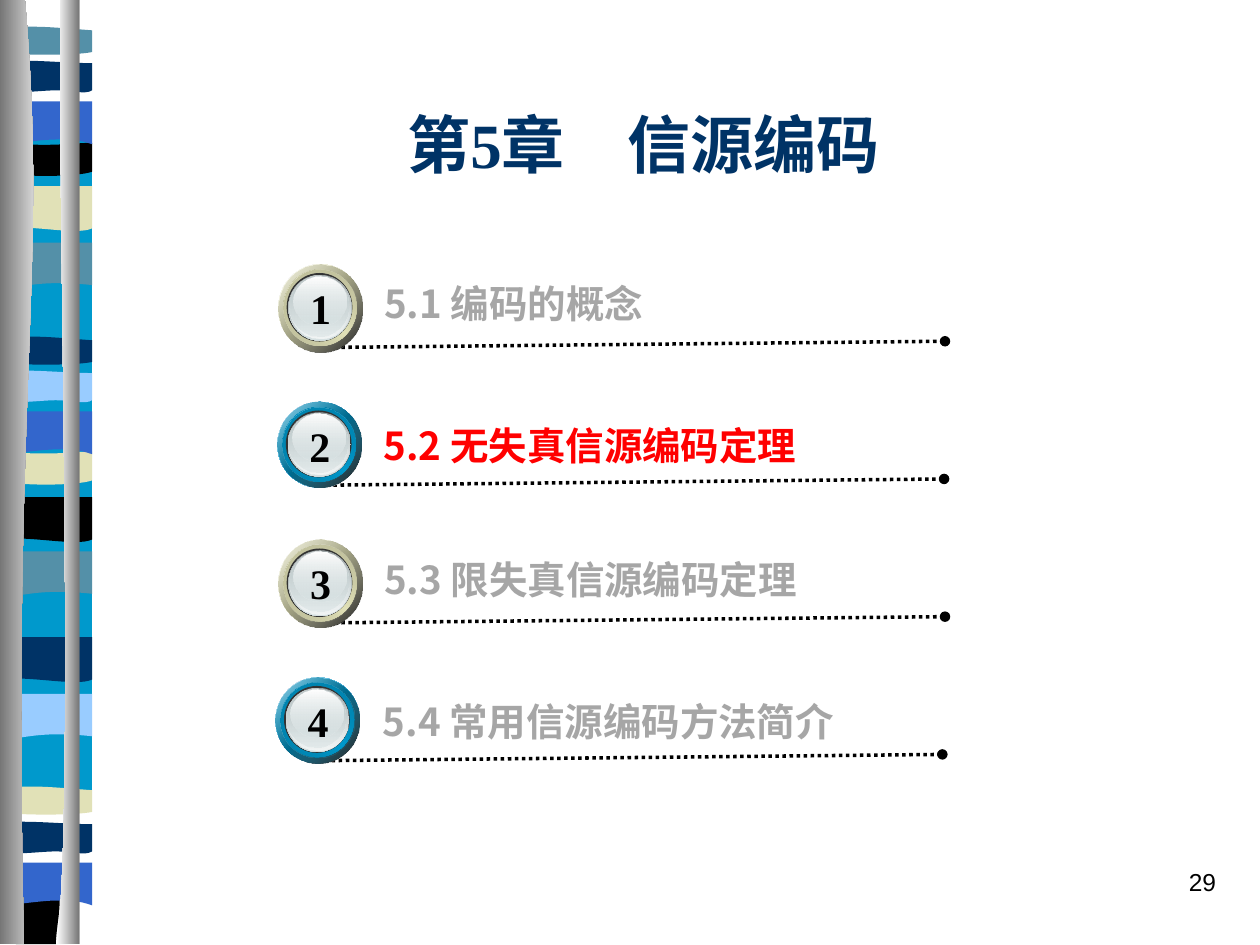
from lxml.etree import SubElement
from pptx import Presentation
from pptx.dml.color import RGBColor
from pptx.enum.dml import MSO_LINE_DASH_STYLE as Dash
from pptx.enum.shapes import MSO_CONNECTOR_TYPE as Connector, MSO_SHAPE as Preset
from pptx.enum.text import MSO_ANCHOR as Anchor, MSO_AUTO_SIZE as AutoSize, PP_ALIGN as Align
from pptx.oxml import parse_xml
from pptx.oxml.ns import nsdecls, qn
from pptx.util import Pt

CJK_FONT = "Noto Sans CJK SC"
SERIF_FONT = "Times New Roman"
NAVY, BLUE, TEAL, SKY, CREAM, CYAN, BLACK = (
    "003366", "3366CC", "5490A8", "99CCFF", "E1E1B7", "0099CC", "000000")

WAVE_DOWN = [(1, 0), (1, .85), ((.31, .71), (.17, 1), (0, .85)), (0, 0)]
WAVE_UP = [(1, 0), (1, .85), ((.83, 1), (.31, .76), (0, .85)), (0, 0)]
LENS = [(1, .15), (1, .88), ((.83, 1), (.17, 1), (0, .88)), (0, .15),
        ((.07, 0), (.22, .03), (.39, .03)), ((.54, .03), (.86, .12), (1, .15))]
BOWL = [(1, 0), (1, .84), ((.83, 1), (.17, 1), (0, .84)), (0, 0),
        ((.61, .13), (.78, 0), (1, 0))]
ARCH = [(1, 0), (1, 1), ((.85, .89), (.78, .89), (.61, .89)),
        ((.44, .89), (.15, 1), (0, 1)), (0, 0)]
RIPPLE = [(1, .15), (1, .88), ((.93, 1), (.78, .88), (.61, .88)),
          ((.44, .88), (.1, 1), (0, .88)), (0, .15), ((.14, 0), (.68, .15), (1, .15))]
BLOCK = [(1, 0), (1, 1), (0, 1), (0, 0)]
STUB = [(.95, 0), ((1, .3), (.9, .6), (.88, 1)), (0, 1), (0, 0)]
LEFT_POLE = [(.51, 0), ((1, .29), (.23, .4), (.49, 1)), (0, 1), (0, 0)]
RIGHT_POLE = [(.17, 0), ((0, .17), (.83, .86), (0, 1)), (1, 1), (1, 0)]

BANDS = [
    (BLOCK, 75, 387, CYAN),
    (WAVE_DOWN, 138.7, 28.5, TEAL), (WAVE_UP, 106.3, 28.5, CREAM),
    (LENS, 14.8, 17, TEAL), (BOWL, 81.6, 19.7, BLACK),
    (ARCH, 58, 24.4, BLUE), (RIPPLE, 32.9, 21.3, NAVY),
    (WAVE_DOWN, 315.1, 28.5, TEAL), (WAVE_UP, 284.1, 28.5, BLACK),
    (LENS, 191.9, 17, NAVY), (BOWL, 258, 19.7, CREAM),
    (ARCH, 235.1, 24.4, BLUE), (RIPPLE, 210, 21.3, SKY),
    (WAVE_DOWN, 396.5, 28.5, SKY), (WAVE_UP, 364.1, 28.5, NAVY),
    (LENS, 449, 17, CREAM),
]
LOWER_BANDS = [(ARCH, 492.9, 24.4, BLUE), (RIPPLE, 467.8, 21.3, NAVY)]


def color(value):
    return RGBColor.from_string(value)


def fill_solid(shape, value):
    shape.fill.solid()
    shape.fill.fore_color.rgb = color(value)


def fill_gradient(shape, stops, angle):
    marks = "".join(
        f'<a:gs pos="{position * 1000}"><a:srgbClr val="{value}">'
        f'<a:alpha val="{opacity * 1000}"/></a:srgbClr></a:gs>'
        for position, value, opacity in stops)
    gradient = parse_xml(
        f'<a:gradFill {nsdecls("a")} rotWithShape="1"><a:gsLst>{marks}</a:gsLst>'
        f'<a:lin ang="{angle * 60000}" scaled="0"/></a:gradFill>')
    geometry = shape._element.spPr.find(qn("a:prstGeom"))
    if geometry is None:
        geometry = shape._element.spPr.find(qn("a:custGeom"))
    geometry.addnext(gradient)


def bend_segments(shape, profile):
    segments = iter(list(shape._element.iter(qn("a:lnTo"))))
    for node in profile[1:]:
        segment = next(segments)
        if isinstance(node[0], tuple):
            curve = segment.makeelement(qn("a:cubicBezTo"))
            segment.addprevious(curve)
            for handle in (segment, next(segments), next(segments)):
                curve.append(handle[0])
                handle.getparent().remove(handle)


def add_outline(shapes, profile, box):
    left, top, width, height = box
    nodes = [node if isinstance(node[0], tuple) else (node,) for node in profile]
    start, *rest = [(Pt(left + x * width), Pt(top + y * height))
                    for node in nodes for x, y in node]
    builder = shapes.build_freeform(*start)
    builder.add_line_segments(rest, close=True)
    shape = builder.convert_to_shape()
    bend_segments(shape, profile)
    shape.shadow.inherit = False
    shape.line.fill.background()
    return shape


def add_side_decoration(slide, box):
    left, top, width, height = box
    shapes = slide.shapes.add_group_shape().shapes

    def add_bands(bands):
        for profile, offset, band_height, value in bands:
            band = add_outline(shapes, profile, (left, top + offset, width, band_height))
            fill_solid(band, value)

    add_bands(BANDS)
    fill_solid(add_outline(shapes, STUB, (left + 9, top + 510, 26, height - 510)), BLACK)
    add_bands(LOWER_BANDS)
    for profile, offset, pole_width, ends in (
            (LEFT_POLE, 0, 28, ("767676", "FFFFFF")),
            (RIGHT_POLE, 32.4, 13, ("FFFFFF", "767676"))):
        pole = add_outline(shapes, profile, (left + offset, top, pole_width, height))
        fill_gradient(pole, [(0, ends[0], 100), (100, ends[1], 100)], 0)


def write(shape, text, size, value, font, bold=True, align=Align.LEFT):
    frame = shape.text_frame
    frame.word_wrap = True
    paragraph = frame.paragraphs[0]
    paragraph.text = text
    paragraph.alignment = align
    paragraph.space_before = Pt(0)
    paragraph.font.size = Pt(size)
    paragraph.font.bold = bold
    paragraph.font.name = font
    paragraph.font.color.rgb = color(value)
    defaults = paragraph._p.pPr.find(qn("a:defRPr"))
    SubElement(defaults, qn("a:ea")).set("typeface", CJK_FONT)


def add_text(shapes, box, *style, **options):
    text_box = shapes.add_textbox(*map(Pt, box))
    write(text_box, *style, **options)
    return text_box


def add_title(slide, box):
    title = slide.shapes.title
    title.left, title.top, title.width, title.height = map(Pt, box)
    title.text_frame.vertical_anchor = Anchor.MIDDLE
    write(title, "第5章　信源编码", 36, NAVY, SERIF_FONT, align=Align.CENTER)


def add_badge(slide, box, number, rim, shade, glow):
    left, top, width, height = box
    shapes = slide.shapes.add_group_shape().shapes
    layers = [
        ((0, 0, 1, 1), [(0, "FFFFFF", 100), (50, rim, 100), (100, "FFFFFF", 100)], 45),
        ((0, 0, 1, 1), [(0, rim, 32), (100, BLACK, 90)], 45),
        ((.06, .06, .87, .87), [(0, shade, 100), (50, rim, 100), (100, shade, 100)], 315),
        ((.06, .06, .87, .87), [(0, glow, 100), (100, rim, 0)], 45),
        ((.1, .1, .78, .78), "333333", None),
        ((.12, .12, .75, .75), [(0, "99A1A2", 100), (100, "D6E1E2", 100)], 90),
        ((.13, .12, .73, .73), [(0, "D6E1E2", 0), (100, "F2F5F5", 100)], 90),
        ((.13, .13, .7, .69), [(0, "C1CBCC", 100), (100, "D6E1E2", 48)], 90),
        ((.18, .14, .63, .56), [(0, "FFFFFF", 100), (100, "D6E1E2", 38)], 90),
    ]
    for (x, y, w, h), paint, angle in layers:
        disc = shapes.add_shape(Preset.OVAL, Pt(left + x * width), Pt(top + y * height),
                                Pt(w * width), Pt(h * height))
        disc.shadow.inherit = False
        disc.line.fill.background()
        if angle is None:
            fill_solid(disc, paint)
        else:
            fill_gradient(disc, paint, angle)
    add_text(shapes, (left + 11, top + 6.8, 26.6, 36), number, 24, BLACK, SERIF_FONT,
             align=Align.CENTER)


def add_dotted_line(slide, start, end):
    line = slide.shapes.add_connector(Connector.STRAIGHT, *map(Pt, start + end))
    line.line.color.rgb = color(BLACK)
    line.line.width = Pt(2)
    line.line.dash_style = Dash.ROUND_DOT
    SubElement(line.line._ln, qn("a:tailEnd")).set("type", "oval")
    SubElement(line._element.spPr, qn("a:effectLst"))


def add_contents(slide, box):
    left, top, width, pitch = box
    khaki = (CREAM, "ACAC8C", "B9B996")
    azure = (CYAN, "00759C", "007EA7")
    rows = [
        ("5.1 编码的概念", "A6A6A6", khaki, 0, 50.2, 5.7),
        ("5.2 无失真信源编码定理", "FF0000", azure, -.5, 49, 8),
        ("5.3 限失真信源编码定理", "A6A6A6", khaki, 0, 50.2, 5.8),
        ("5.4 常用信源编码方法简介", "A6A6A6", azure, -1.5, 49, 8),
    ]
    for index, (label, value, rim, shift, height, drop) in enumerate(rows):
        x, y = left + shift, top + index * pitch
        add_dotted_line(slide, (x + 24, y + 47.6), (x + width, y + 44))
        add_badge(slide, (x, y, 48.2, height), str(index + 1), *rim)
        text_box = add_text(slide.shapes, (left + 53.5 + shift / 2, y + drop, 310, 33.8),
                            label, 22, value, CJK_FONT)
        text_box.text_frame.auto_size = AutoSize.SHAPE_TO_FIT_TEXT


def main():
    presentation = Presentation()
    presentation.slide_width, presentation.slide_height = Pt(720), Pt(540)
    slide = presentation.slides.add_slide(presentation.slide_layouts[5])
    add_side_decoration(slide, (0, 0, 52.6, 539.5))
    add_title(slide, (61.8, 36.7, 612, 90))
    add_contents(slide, (159, 151, 381, 78.7))
    add_text(slide.shapes, (552, 492, 150, 36), "29", 14, BLACK, "Arial",
             bold=False, align=Align.RIGHT)
    presentation.save("out.pptx")


if __name__ == "__main__":
    main()
